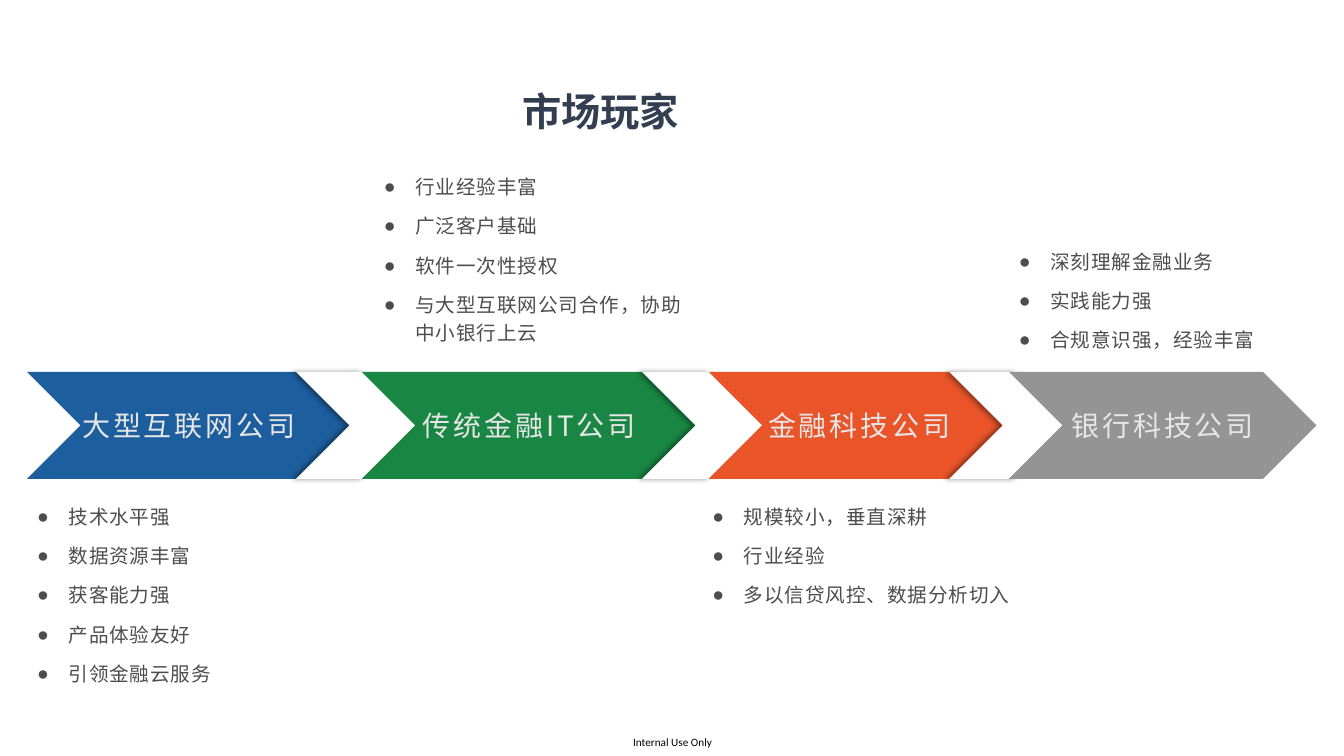
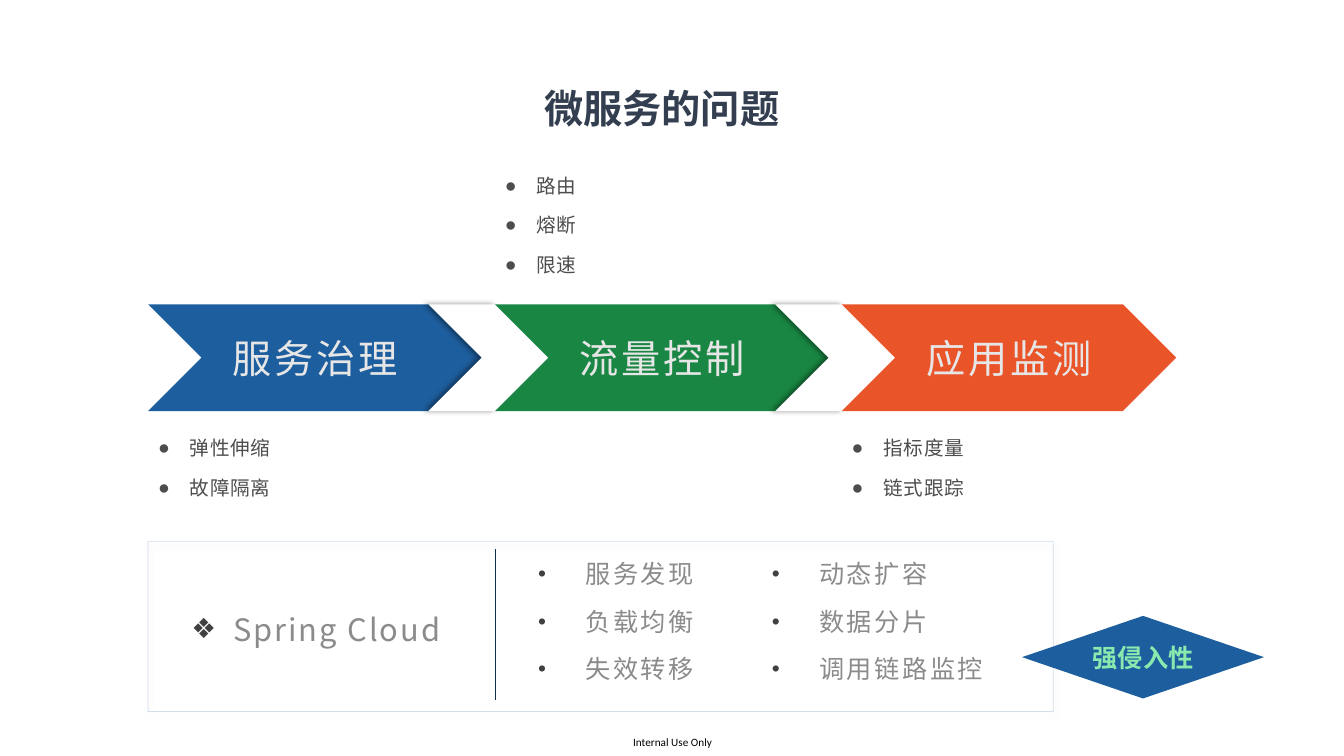
from lxml.etree import SubElement
from pptx import Presentation
from pptx.dml.color import RGBColor
from pptx.enum.shapes import MSO_CONNECTOR, MSO_SHAPE
from pptx.enum.text import MSO_ANCHOR, PP_ALIGN
from pptx.oxml.ns import qn
from pptx.util import Pt

COLORS = {
    "blue": "1D5E9E", "green": "198743", "orange": "EA5429", "gray": "949494",
    "white": "FFFFFF", "black": "000000", "title": "333F50", "label": "E7E6E6",
    "body": "4D4D4D", "detail": "8B8B8B", "bullet": "404040",
    "rule": "0F2F4F", "accent": "89E9AE",
}
FONT = "Noto Sans CJK SC"
CHEVRON_HEIGHT = 76.3
DIVIDER_WIDTH = 86.4
LIST_WIDTH = 239


def rgb(name):
    return RGBColor.from_string(COLORS[name])


def add_xml(parent, tag, **attributes):
    return SubElement(parent, qn(tag), {key: str(value) for key, value in attributes.items()})


class Deck:
    """Holds the shared style and the slide being filled."""

    def __init__(self):
        self.presentation = Presentation()
        self.presentation.slide_width = Pt(960)
        self.presentation.slide_height = Pt(540)
        self.slide = None

    def new_slide(self, title, left, top, width):
        self.slide = self.presentation.slides.add_slide(self.presentation.slide_layouts[6])
        self.text(["Internal Use Only"], (452.2, 525.6, 58.3, 9.4), 8, "black",
                  font="Calibri", margins=(0, 0), wrap=False)
        self.text([title], (left, top, width, 45.4), 28, "title", bold=True,
                  align=PP_ALIGN.CENTER, anchor=MSO_ANCHOR.MIDDLE, margins=(4.5, 4.5))

    # Text
    def fill_text(self, frame, lines, size, color, font=FONT, bold=False,
                  align=PP_ALIGN.LEFT, anchor=MSO_ANCHOR.TOP, margins=(7.2, 3.6),
                  wrap=True, spacing=0, bullet=None):
        frame.word_wrap = wrap
        frame.vertical_anchor = anchor
        frame.margin_left = frame.margin_right = Pt(margins[0])
        frame.margin_top = frame.margin_bottom = Pt(margins[1])
        for index, line in enumerate(lines):
            paragraph = frame.paragraphs[0] if index == 0 else frame.add_paragraph()
            paragraph.text = line
            paragraph.alignment = align
            if bullet:
                self.bullet(paragraph, **bullet)
            paragraph.font.size = Pt(size)
            paragraph.font.bold = bold
            paragraph.font.color.rgb = rgb(color)
            paragraph.font.name = font
            character_style = paragraph._p.pPr.find(qn("a:defRPr"))
            character_style.set("spc", str(round(spacing * 100)))
            add_xml(character_style, "a:ea", typeface=FONT)

    def bullet(self, paragraph, mark, indent, color=None, percent=100):
        paragraph.line_spacing = 1.2
        paragraph.space_after = Pt(8)
        properties = paragraph._p.get_or_add_pPr()
        properties.set("marL", str(Pt(indent)))
        properties.set("indent", str(-Pt(indent)))
        if color:
            add_xml(add_xml(properties, "a:buClr"), "a:srgbClr", val=COLORS[color])
        add_xml(properties, "a:buSzPct", val=percent * 1000)
        add_xml(properties, "a:buFont", typeface="Arial")
        add_xml(properties, "a:buChar", char=mark)

    def text(self, lines, box, size, color, **style):
        shape = self.slide.shapes.add_textbox(*map(Pt, box))
        self.fill_text(shape.text_frame, lines, size, color, **style)

    def points(self, lines, left, top, height, anchor=MSO_ANCHOR.TOP):
        self.text(lines, (left, top, LIST_WIDTH, height), 14, "body", anchor=anchor,
                  spacing=0.6, bullet={"mark": "●", "indent": 22.5})

    def details(self, lines, box, size=18, spacing=1.8, mark="•", indent=33.8):
        self.text(lines, box, size, "detail", anchor=MSO_ANCHOR.MIDDLE, spacing=spacing,
                  bullet={"mark": mark, "indent": indent, "color": "bullet", "percent": 90})

    # Shapes
    def shape(self, kind, box, fill=None, shadow_angle=None):
        shape = self.slide.shapes.add_shape(kind, *map(Pt, box))
        if fill:
            shape.fill.solid()
            shape.fill.fore_color.rgb = rgb(fill)
        else:
            shape.fill.background()
        shape.line.fill.background()
        shape.shadow.inherit = False
        if shadow_angle is not None:
            effects = shape._element.spPr.find(qn("a:effectLst"))
            shadow = add_xml(effects, "a:outerShdw", blurRad=Pt(4), dist=Pt(3),
                             dir=shadow_angle * 60000, algn="ctr", rotWithShape=0)
            color = add_xml(shadow, "a:srgbClr", val=COLORS["black"])
            add_xml(color, "a:alpha", val=40000)
        return shape

    def chevrons(self, steps, dividers, top, size):
        for index, (left, width, fill, label) in enumerate(steps):
            if index:
                self.shape(MSO_SHAPE.CHEVRON,
                           (dividers[index - 1], top, DIVIDER_WIDTH, CHEVRON_HEIGHT),
                           "white", shadow_angle=180)
            shape = self.shape(MSO_SHAPE.CHEVRON, (left, top, width, CHEVRON_HEIGHT), fill)
            self.fill_text(shape.text_frame, [label], size, "label", align=PP_ALIGN.CENTER,
                           anchor=MSO_ANCHOR.MIDDLE, margins=(0, 0), wrap=False, spacing=2)

    def frame(self, box):
        shape = self.shape(MSO_SHAPE.RECTANGLE, box, shadow_angle=90)
        shape.line.color.rgb = rgb("blue")
        shape.line.width = Pt(0.5)
        color = shape._element.spPr.find(qn("a:ln")).find(".//" + qn("a:srgbClr"))
        add_xml(color, "a:alpha", val=20000)

    def vertical_rule(self, left, top, bottom):
        line = self.slide.shapes.add_connector(
            MSO_CONNECTOR.STRAIGHT, *map(Pt, (left, top, left, bottom)))
        line.line.color.rgb = rgb("rule")
        line.line.width = Pt(0.5)
        add_xml(line._element.spPr, "a:effectLst")

    def diamond(self, label, box):
        shape = self.shape(MSO_SHAPE.FLOWCHART_DECISION, box, "blue")
        self.fill_text(shape.text_frame, [label], 18, "accent", font="Arial", bold=True,
                       align=PP_ALIGN.CENTER, anchor=MSO_ANCHOR.MIDDLE,
                       margins=(4.5, 4.5), wrap=False)


def market_players(deck):
    deck.new_slide("市场玩家", 99.4, 56.2, 658.8)
    deck.chevrons([
        (19.4, 231, "blue", "大型互联网公司"),
        (258.5, 239, "green", "传统金融IT公司"),
        (506.2, 215.3, "orange", "金融科技公司"),
        (720.7, 219.6, "gray", "银行科技公司"),
    ], dividers=(211.5, 458.7, 678.2), top=265.7, size=20)

    # Traits below and above the band
    deck.points(["技术水平强", "数据资源丰富", "获客能力强", "产品体验友好", "引领金融云服务"],
                19.4, 353.5, 158.4)
    deck.points(["规模较小，垂直深耕", "行业经验", "多以信贷风控、数据分析切入"],
                501.8, 353.5, 158.4)
    deck.points(["行业经验丰富", "广泛客户基础", "软件一次性授权",
                 "与大型互联网公司合作，协助中小银行上云"],
                267.1, 112.3, 137.5, MSO_ANCHOR.BOTTOM)
    deck.points(["深刻理解金融业务", "实践能力强", "合规意识强，经验丰富"],
                720.7, 117.4, 137.5, MSO_ANCHOR.BOTTOM)


def microservice_issues(deck):
    deck.new_slide("微服务的问题", 60.5, 54, 824.4)
    lefts = [105.8 + 247.7 * index for index in range(3)]
    fills = ("blue", "green", "orange")
    labels = ("服务治理", "流量控制", "应用监测")
    deck.chevrons([(left, LIST_WIDTH, fill, label)
                   for left, fill, label in zip(lefts, fills, labels)],
                  dividers=[left - 47.5 for left in lefts[1:]], top=217.4, size=28)

    # Topics around the band
    deck.points(["弹性伸缩", "故障隔离"], lefts[0], 304.6, 70.6)
    deck.points(["指标度量", "链式跟踪"], lefts[2], 304.6, 70.6)
    deck.points(["路由", "熔断", "限速"], lefts[1], 114.5, 86.4, MSO_ANCHOR.BOTTOM)

    # Framework panel
    deck.frame((lefts[0], 386.6, 646.6, 121.7))
    deck.details(["服务发现", "负载均衡", "失效转移"], (377.3, 392.4, 167, 98.6))
    deck.vertical_rule(lefts[1], 392.4, 499.7)
    deck.details(["Spring Cloud"], (129.6, 397.4, 199.4, 98.6),
                 size=22, spacing=1.4, mark="❖", indent=30.2)
    deck.details(["动态扩容", "数据分片", "调用链路监控"], (544.3, 392.4, 208, 98.6))
    deck.diamond("强侵入性", (730.1, 439.9, 172.8, 59))


def main():
    deck = Deck()
    market_players(deck)
    microservice_issues(deck)
    deck.presentation.save("out.pptx")


if __name__ == "__main__":
    main()
